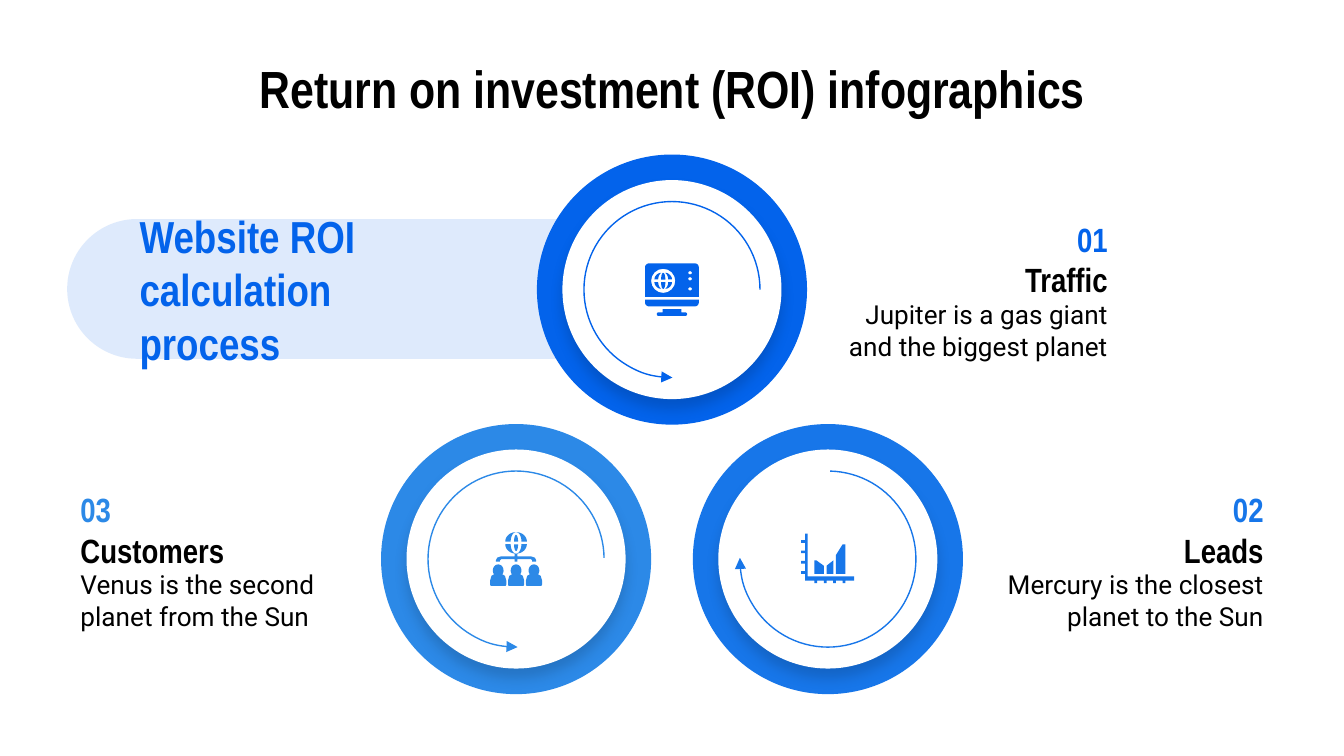
from math import cos, radians, sin

from lxml import etree
from pptx import Presentation
from pptx.dml.color import RGBColor
from pptx.enum.shapes import MSO_SHAPE
from pptx.enum.text import MSO_ANCHOR, PP_ALIGN
from pptx.oxml.ns import qn
from pptx.util import Inches, Pt

ROUND_BAR, OVAL, ARC = MSO_SHAPE.ROUNDED_RECTANGLE, MSO_SHAPE.OVAL, MSO_SHAPE.ARC
LEFT, CENTER, RIGHT = PP_ALIGN.LEFT, PP_ALIGN.CENTER, PP_ALIGN.RIGHT
MIDDLE = MSO_ANCHOR.MIDDLE
BLACK, WHITE = "000000", "FFFFFF"
BLUE, MID_BLUE, LIGHT_BLUE = "0363EB", "1776E9", "2C89E7"
HEADING_FONT, BODY_FONT = "Arial Narrow", "Roboto"

# The grid is 100 columns by 56.25 rows of square cells
CELL = Inches(0.1)
ICON_UNIT = CELL / 10


def color(hex_text):
    return RGBColor.from_string(hex_text)


def add_xml(parent, tag, **attributes):
    values = {name: str(value) for name, value in attributes.items()}
    return etree.SubElement(parent, qn(tag), values)


class Infographic:
    def __init__(self, page):
        self.page = page

    def shape(self, kind, left, top, width, height, fill=None, opacity=None):
        places = [round(value * CELL) for value in (left, top, width, height)]
        shape = self.page.shapes.add_shape(kind, *places)
        self.paint(shape, fill)
        if opacity:
            tint = shape.fill._xPr.find(".//" + qn("a:srgbClr"))
            add_xml(tint, "a:alpha", val=opacity * 1000)
        return shape

    def paint(self, shape, fill):
        shape.shadow.inherit = False
        shape.line.fill.background()
        if fill:
            shape.fill.solid()
            shape.fill.fore_color.rgb = color(fill)
        else:
            shape.fill.background()

    def disc(self, center, size, fill, kind=OVAL):
        x, y = center
        return self.shape(kind, x - size / 2, y - size / 2, size, size, fill)

    def text(self, words, left, top, width, height, size,
             fill=BLACK, align=LEFT, font=HEADING_FONT):
        places = [round(value * CELL) for value in (left, top, width, height)]
        box = self.page.shapes.add_textbox(*places)
        frame = box.text_frame
        frame.word_wrap = True
        frame.vertical_anchor = MIDDLE
        frame.margin_left = frame.margin_right = CELL
        frame.margin_top = frame.margin_bottom = CELL
        para = frame.paragraphs[0]
        para.text = words
        para.alignment = align
        para.font.name = font
        para.font.size = Pt(size)
        para.font.bold = font == HEADING_FONT
        para.font.color.rgb = color(fill)

    def ring(self, center, fill):
        self.disc(center, 20.1, fill)
        inner = self.disc(center, 16.3, WHITE)
        effects = inner._element.spPr.find(qn("a:effectLst"))
        shadow = add_xml(effects, "a:outerShdw", blurRad=Pt(6.8), dist=Pt(5.2),
                         dir=90 * 60000, algn="bl", rotWithShape=0)
        tint = add_xml(shadow, "a:srgbClr", val=BLACK)
        add_xml(tint, "a:alpha", val=15000)

    def arrow_arc(self, center, fill, start, end, arrow):
        arc = self.disc(center, 13.1, None, ARC)
        arc.adjustments[0] = start * 0.6
        arc.adjustments[1] = end * 0.6
        arc.line.color.rgb = color(fill)
        arc.line.width = Pt(0.75)
        add_xml(arc.line._get_or_add_ln(), arrow, type="triangle")

    def label(self, left, top, number, heading, body, fill, align):
        self.text(number, left, top, 22.5, 3, 18, fill, align)
        self.text(heading, left, top + 3, 22.5, 3, 18, BLACK, align)
        self.text(body, left, top + 6.05, 22.5, 4.4, 14, BLACK, align, BODY_FONT)

    def icon(self, center, fill, pieces):
        """Each piece is a list of contours around the center, later ones being holes."""
        for piece in pieces:
            contours = [[(round(center[0] * CELL + x * ICON_UNIT),
                          round(center[1] * CELL + y * ICON_UNIT)) for x, y in contour]
                        for contour in piece]
            outline = self.page.shapes.build_freeform(*contours[0][0], scale=1.0)
            outline.add_line_segments(contours[0][1:], close=True)
            for hole in contours[1:]:
                outline.move_to(*hole[0])
                outline.add_line_segments(hole[1:], close=True)
            self.paint(outline.convert_to_shape(), fill)


# Icon outlines, in tenths of a cell
def curve(x, y, across, down, start, end, steps=16):
    angles = [radians(start + (end - start) * i / steps) for i in range(steps + 1)]
    return [(x + across * cos(a), y + down * sin(a)) for a in angles]


def mirror(points):
    return [(-x, y) for x, y in reversed(points)]


def wedge(outer, inner, height, start):
    return curve(0, 0, outer, height, start, 0) + curve(0, 0, inner, height, 0, start)


def move(points, x, y, flip=1):
    return [(x + px, y + py * flip) for px, py in points]


def person(x):
    shoulder = [(5, 12.5), (6, 16), (6, 19), (5.5, 20)]
    return move(curve(0, 8.5, 4, 4.5, 140, 400) + shoulder + mirror(shoulder), x, 0)


def customers_icon():
    cap = wedge(8, 4, 7, -90)
    branch = curve(0, -11, 8, 7, 180, 97) + [
        (-1, -2), (-11, -2), (-14, -1), (-15, 1), (-15, 2),
        (-12, 2), (-12, 1), (-11, 0), (-1, 0), (-1, 2)]
    stand = branch + mirror(branch) + curve(0, -11, 4, 7, 0, 180)
    outlines = [person(x) for x in (13.3, 0, -13.3)]
    outlines += [stand, curve(0, -11, 1.5, 5, 0, 180), curve(0, -13, 1.5, 5, 180, 360),
                 move(cap, 0, -13), move(mirror(cap), 0, -13)]
    return [[outline] for outline in outlines]


def traffic_icon():
    screen = [(-20, 5.5)] + curve(-17, -16.5, 3, 3, 180, 270)
    holes = [curve(-6.5, -6.5, 9, 9, 0, 360)]
    holes += [curve(13.5, y, 1.4, 1.2, 0, 360) for y in (-12.5, -8, -0.5)]
    base = curve(-17, 9.5, 3, 3, 90, 180) + [(-20, 7.5)]
    foot = curve(-10, 18.3, 1.3, 1.3, 90, 270) + [(-7, 17), (-7, 14.5)]
    pieces = [[screen + mirror(screen)] + holes,
              [base + mirror(base)], [foot + mirror(foot)]]
    slice_of_globe = wedge(6.5, 3.7, 5.3, -67)
    middle = curve(0, 0, 1.6, 5, 180, 360)
    for outline in (slice_of_globe, mirror(slice_of_globe), middle):
        pieces += [[move(outline, -6.5, -6.5 - flip, flip)] for flip in (1, -1)]
    return pieces


def leads_icon():
    axes = [(-17, -19)]
    for y in (-14 + 7.7 * i for i in range(4)):
        axes += [(-17, y), (-20, y), (-20, y + 2), (-17, y + 2)]
    axes.append((-17, 16))
    for x in (-10 + 7 * i for i in range(4)):
        axes += [(x, 16), (x, 18), (x + 2, 18), (x + 2, 16)]
    axes += [(19.5, 16), (19.5, 13), (-15, 13), (-15, -19)]
    bars = [[(4, 1), (-1, 5), (-1, 11), (4, 11)],
            [(-10, 1), (-8.5, 1), (-3, 5), (-3, 11), (-10, 11)],
            [(6, -3), (11, -11), (13, -11), (13, 11), (6, 11)]]
    return [[outline] for outline in bars + [axes]]


def main():
    deck = Presentation()
    deck.slide_width, deck.slide_height = Inches(10), Inches(5.625)
    info = Infographic(deck.slides.add_slide(deck.slide_layouts[6]))

    # Title and subject bar
    info.shape(ROUND_BAR, 5, 16.3, 45, 10.4, BLUE, 13).adjustments[0] = 0.5
    info.text("Return on investment (ROI) infographics", 5, 4.5, 90, 4.1, 28, align=CENTER)
    info.text("Website ROI calculation process", 9.4, 17.6, 27, 7.8, 24, BLUE)

    # Steps: center, colour, arc, icon, label
    steps = [
        ((50, 21.55), BLUE, (89.7, 0, "a:headEnd"), traffic_icon(),
         (60.9, 16.3, "01", "Traffic", "Jupiter is a gas giant and the biggest planet"), RIGHT),
        ((61.6, 41.6), MID_BLUE, (271.4, 180.8, "a:tailEnd"), leads_icon(),
         (72.5, 36.4, "02", "Leads", "Mercury is the closest planet to the Sun"), RIGHT),
        ((38.4, 41.6), LIGHT_BLUE, (89, 359.2, "a:headEnd"), customers_icon(),
         (5, 36.4, "03", "Customers", "Venus is the second planet from the Sun"), LEFT),
    ]
    for center, fill, arc, pieces, label, align in steps:
        info.ring(center, fill)
        info.arrow_arc(center, fill, *arc)
        info.icon(center, fill, pieces)
        info.label(*label, fill, align)

    deck.save("out.pptx")


if __name__ == "__main__":
    main()
